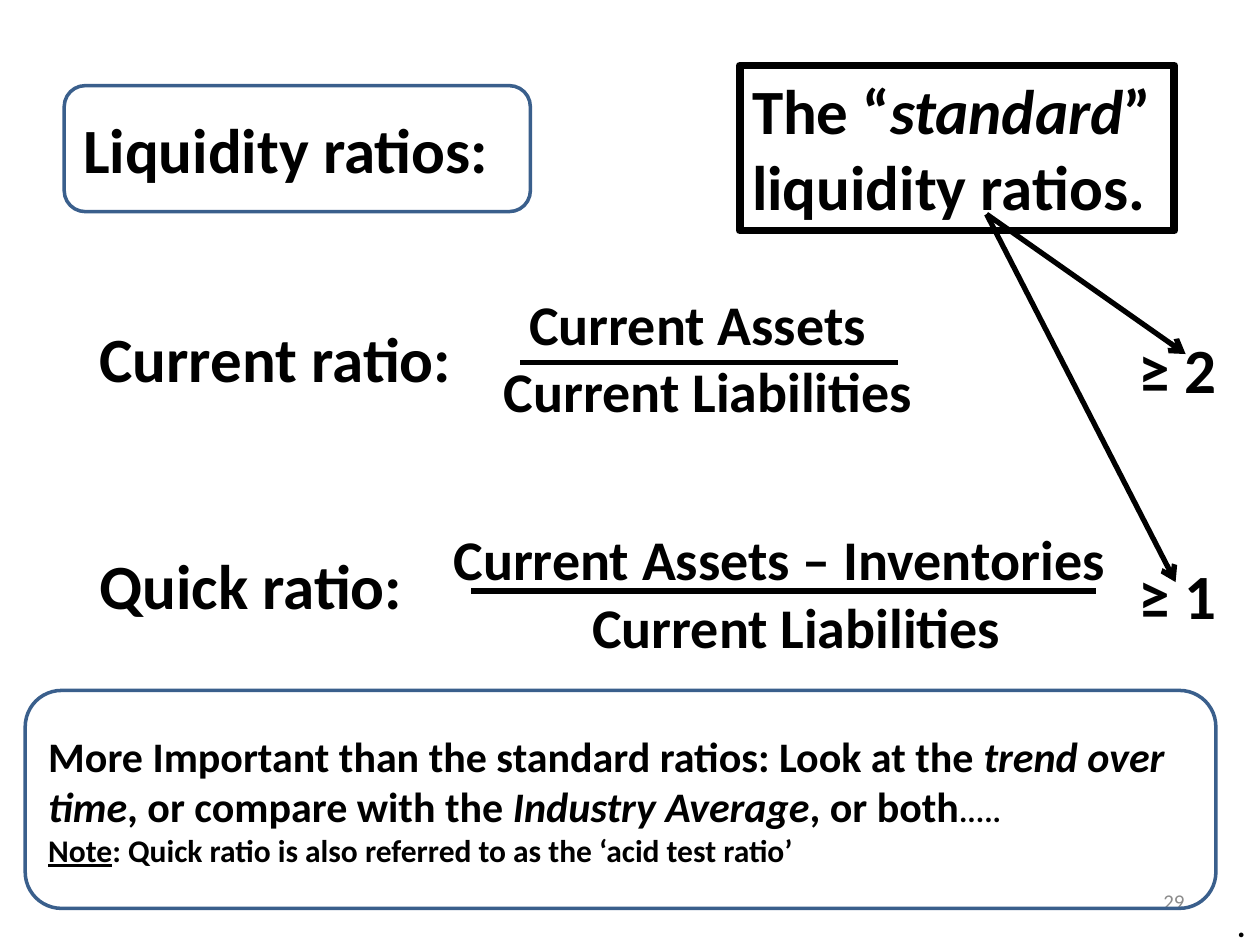
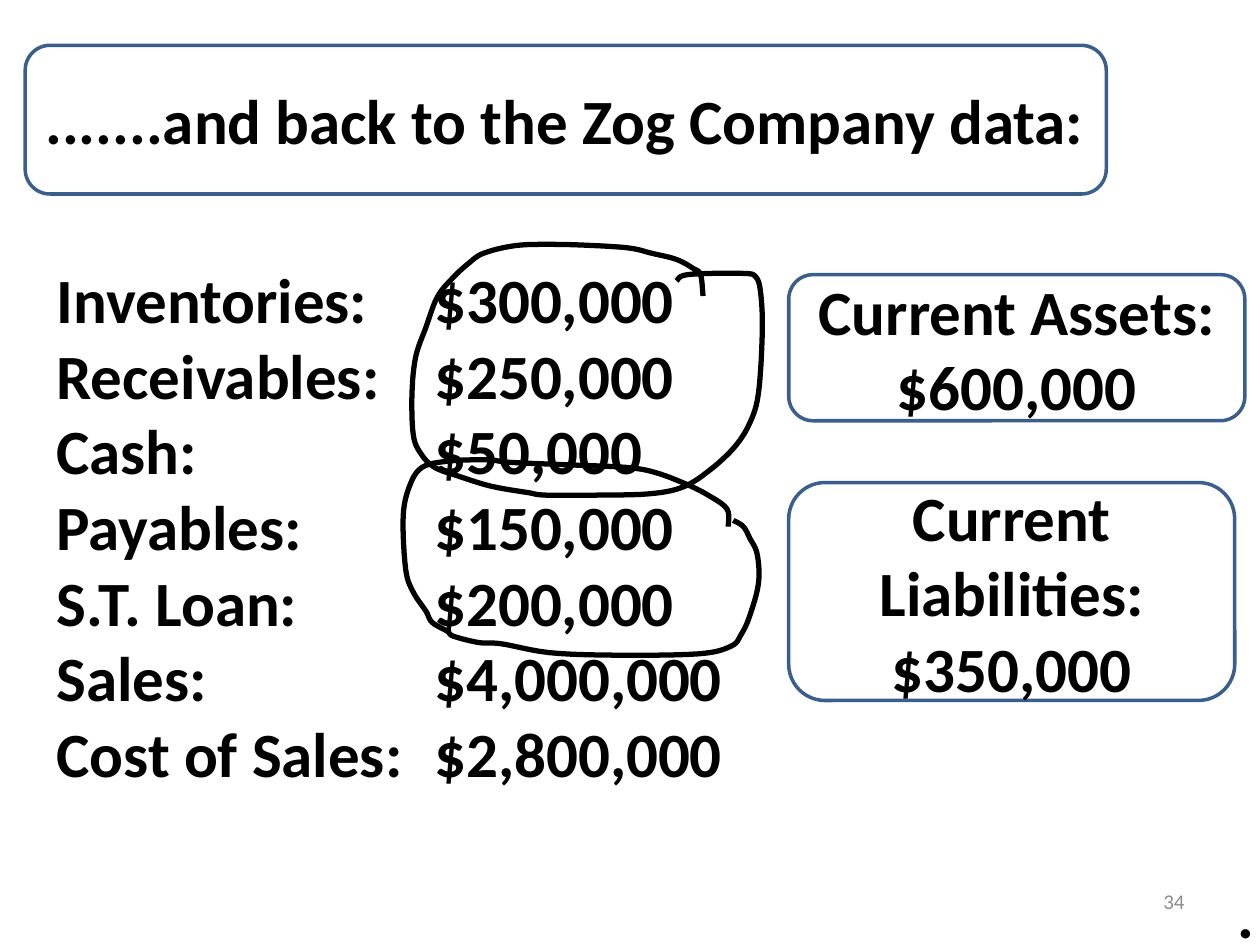
from lxml import etree
from pptx import Presentation
from pptx.dml.color import RGBColor
from pptx.enum.shapes import MSO_CONNECTOR, MSO_SHAPE
from pptx.enum.text import MSO_ANCHOR, MSO_AUTO_SIZE, PP_ALIGN
from pptx.oxml.ns import qn
from pptx.util import Inches, Pt

LEFT, CENTER, RIGHT = PP_ALIGN.LEFT, PP_ALIGN.CENTER, PP_ALIGN.RIGHT
TOP, MIDDLE = MSO_ANCHOR.TOP, MSO_ANCHOR.MIDDLE
RECTANGLE, ROUNDED = MSO_SHAPE.RECTANGLE, MSO_SHAPE.ROUNDED_RECTANGLE
NO_AUTOFIT = MSO_AUTO_SIZE.NONE
STRAIGHT = MSO_CONNECTOR.STRAIGHT

FONT = "Calibri"
BLACK, BLUE, GRAY = "000000", "3A5F8C", "8C8C8C"
PANEL_LINE, STROKE_LINE, STANDARD_LINE = 2, 3, 4.5
LARGE, FRACTION, BODY, SMALL, FOOTER = 36, 32, 24, 18, 12
LINE_HEIGHT = 1.2
CORNER_INSET = 0.05
CURVE_STEPS = 6

presentation = Presentation()
presentation.slide_width = Inches(10)
presentation.slide_height = Inches(7.5)
COLUMN = presentation.slide_width // 100
ROW = presentation.slide_height // 75
TITLE_ONLY = presentation.slide_layouts[5]


def cells(left, top, width, height):
    return int(left * COLUMN), int(top * ROW), int(width * COLUMN), int(height * ROW)


def write(shape, paragraphs, size=LARGE, color=BLACK, bold=True, align=LEFT,
          anchor=TOP, wrap=True, gaps=(), indents=(), tab=None):
    frame = shape.text_frame
    frame_format = {"auto_size": NO_AUTOFIT, "word_wrap": wrap, "vertical_anchor": anchor}
    for name, value in frame_format.items():
        setattr(frame, name, value)
    for index, runs in enumerate(paragraphs):
        paragraph = frame.paragraphs[0] if index == 0 else frame.add_paragraph()
        paragraph.alignment = align
        properties = paragraph._p.get_or_add_pPr()
        if gaps:
            paragraph.space_before = Pt(gaps[index])
        if indents:
            properties.set("marL", str(indents[index] * COLUMN))
        if tab:
            tabs = etree.SubElement(properties, qn("a:tabLst"))
            etree.SubElement(tabs, qn("a:tab"), pos=str(tab * COLUMN), algn="l")
        for text, changes in [(runs, {})] if isinstance(runs, str) else runs:
            run = paragraph.add_run()
            run.text = text
            run_format = {"name": FONT, "size": Pt(size), "bold": bold} | changes
            for name, value in run_format.items():
                setattr(run.font, name, value)
            run.font.color.rgb = RGBColor.from_string(color)


outlined_shapes = []
slides = []

for title_text, title_box, number in [
    ("Liquidity ratios:", (5.1, 6.8, 37, 10), "29"),
    (".......and back to the Zog Company data:", (2, 3.6, 85.8, 11.8), "34"),
]:
    slide = presentation.slides.add_slide(TITLE_ONLY)
    slides.append(slide)
    title_frame = slide.shapes.add_shape(ROUNDED, *cells(*title_box))
    outlined_shapes.append((title_frame, BLUE, PANEL_LINE))

    title = slide.shapes.title
    inset = title_box[3] * CORNER_INSET
    left, top, width, height = title_box
    title.left, title.top, title.width, title.height = cells(
        left + inset, top, width - 2 * inset, height)
    write(title, [title_text], anchor=MIDDLE)

    page_number = slide.shapes.add_textbox(*cells(71.7, 69.5, 23.3, 4))
    write(page_number, [number], size=FOOTER, color=GRAY, bold=False,
          align=RIGHT, anchor=MIDDLE)

ratios_slide, company_slide = slides

italic = {"italic": True}
small = {"size": Pt(SMALL)}
trend_note = [
    [("More Important than the standard ratios: Look at the ", {}),
     ("trend over time", italic), (", or compare with the ", {}),
     ("Industry Average", italic), (", or both", {}), (".....", small)],
    [("Note", small | {"underline": True}),
     (": Quick ratio is also referred to as the ‘acid test ratio’", small)],
]
standard_heading = [[("The “", {}), ("standard", italic), ("”", {})], "liquidity ratios."]
current_assets = ["Current Assets:", "$600,000"]
current_liabilities = ["Current", "Liabilities:", "$350,000"]
note_format = {"size": BODY, "anchor": MIDDLE}
total_format = {"align": CENTER, "anchor": MIDDLE}

for slide, kind, box, color, line_width, paragraphs, text_format in [
    (ratios_slide, ROUNDED, (2, 54.8, 94.5, 17.3), BLUE, PANEL_LINE,
     trend_note, note_format),
    (ratios_slide, RECTANGLE, (58.7, 5.2, 34.5, 13.1), BLACK, STANDARD_LINE,
     standard_heading, {"wrap": False}),
    (company_slide, ROUNDED, (62.6, 21.8, 36.2, 11.6), BLUE, PANEL_LINE,
     current_assets, total_format),
    (company_slide, ROUNDED, (62.6, 38.3, 35.4, 17.3), BLUE, PANEL_LINE,
     current_liabilities, total_format),
]:
    panel = slide.shapes.add_shape(kind, *cells(*box))
    outlined_shapes.append((panel, color, line_width))
    write(panel, paragraphs, **text_format)

two_lines = 2 * LARGE * LINE_HEIGHT
ratio_names = ["Current ratio:", "Quick ratio:"]
ratio_standards = ["≥ 2", "≥ 1"]
fractions = ["Current Assets", "Current Liabilities",
             "Current Assets – Inventories", "Current Liabilities"]
fraction_format = {"size": FRACTION, "gaps": (0, 0, 48 * LINE_HEIGHT, 0),
                   "indents": (6, 4, 0, 11)}
accounts = {
    "Inventories": 300_000,
    "Receivables": 250_000,
    "Cash": 50_000,
    "Payables": 150_000,
    "S.T. Loan": 200_000,
    "Sales": 4_000_000,
    "Cost of Sales": 2_800_000,
}
account_lines = [f"{name}:\t${amount:,}" for name, amount in accounts.items()]

for slide, box, paragraphs, text_format in [
    (ratios_slide, (6.9, 24.9, 33.9, 37.4), ratio_names, {"gaps": (0, two_lines)}),
    (ratios_slide, (35, 22.5, 57.5, 30.6), fractions, fraction_format),
    (ratios_slide, (89.4, 25.7, 8.2, 25.2), ratio_standards,
     {"gaps": (0, two_lines), "wrap": False}),
    (ratios_slide, (97.2, 71.4, 2.7, 4), ["."], {"size": SMALL, "wrap": False}),
    (company_slide, (3.5, 20.2, 72.7, 49.5), account_lines, {"tab": 30}),
    (company_slide, (97.2, 69, 3.4, 7.1), ["."], {"wrap": False}),
]:
    write(slide.shapes.add_textbox(*cells(*box)), paragraphs, **text_format)

fraction_bars = [((41.3, 28.8), (71.3, 28.8)), ((37.4, 46.9), (87, 46.9))]
arrow_origin = (78.3, 17)
standard_arrows = [(arrow_origin, tip) for tip in [(94.1, 28.1), (93.3, 46.2)]]

for start, end in fraction_bars + standard_arrows:
    connector = ratios_slide.shapes.add_connector(STRAIGHT, *cells(*start, *end))
    connector.line.color.rgb = RGBColor.from_string(BLACK)
    connector.line.width = Pt(STROKE_LINE)
    properties = connector.element.spPr
    if start == arrow_origin:
        etree.SubElement(properties.find(qn("a:ln")), qn("a:tailEnd"), type="arrow")
    etree.SubElement(properties, qn("a:effectLst"))

assets_loop = [
    (55.8, 23.5), (55.6, 21.8), (55, 21.3), (53.7, 20.6), (51.7, 20.1), (50, 19.7),
    (47.2, 19.5), (43.9, 19.4), (40.9, 19.5), (38.4, 20.1), (37.2, 20.9), (35.9, 22.1),
    (34.7, 23.6), (33.8, 26), (33, 28.3), (32.7, 31.2), (32.8, 34.5), (33.4, 36),
    (34.5, 37.1), (36.4, 37.8), (39, 38.6), (41.9, 39.1), (43.3, 39.3), (47.4, 39.3),
    (51.5, 39.2), (54.1, 38.7), (56.1, 37.5), (58.2, 35.6), (59.5, 33.6), (60.2, 31.2),
    (60.5, 26.5), (60.4, 23.5), (60, 22), (58.8, 21.7), (54.6, 21.8), (53.7, 22.3),
]
liabilities_loop = [
    (57.8, 41.8), (57.7, 40.4), (56.2, 39.3), (54.4, 38.4), (52, 37.5), (49.7, 37.1),
    (45.2, 36.9), (40.5, 36.7), (38.7, 36.5), (35.6, 36.6), (33.5, 37.1), (32.5, 38.6),
    (32, 41), (32.2, 45.2), (32.8, 47), (33.8, 48.5), (34.3, 49.4), (35.5, 50.1),
    (36, 50.5), (38, 51), (39.8, 51.1), (43.6, 51.8), (48.7, 52), (55.4, 51.9),
    (58, 51.3), (58.8, 50.4), (59.5, 48.9), (60.2, 46.3), (60.1, 44), (59.5, 42.7),
    (59, 41.8), (58.2, 41.3),
]

for knots in [assets_loop, liabilities_loop]:
    befores = knots[:1] + knots[:-2]
    afters = knots[2:] + knots[-1:]
    curve = [knots[0]]
    for neighbours in zip(befores, knots, knots[1:], afters):
        for step in range(1, CURVE_STEPS + 1):
            t = step / CURVE_STEPS
            curve.append([
                b + t * (c - a) / 2
                + t ** 2 * (2 * a - 5 * b + 4 * c - d) / 2
                + t ** 3 * (3 * b - a - 3 * c + d) / 2
                for a, b, c, d in zip(*neighbours)
            ])
    points = [(int(x * COLUMN), int(y * ROW)) for x, y in curve]
    builder = company_slide.shapes.build_freeform(*points[0])
    builder.add_line_segments(points[1:], close=False)
    outlined_shapes.append((builder.convert_to_shape(), BLACK, STROKE_LINE))

for shape, color, line_width in outlined_shapes:
    shape.shadow.inherit = False
    shape.fill.background()
    shape.line.color.rgb = RGBColor.from_string(color)
    shape.line.width = Pt(line_width)

presentation.save("out.pptx")
